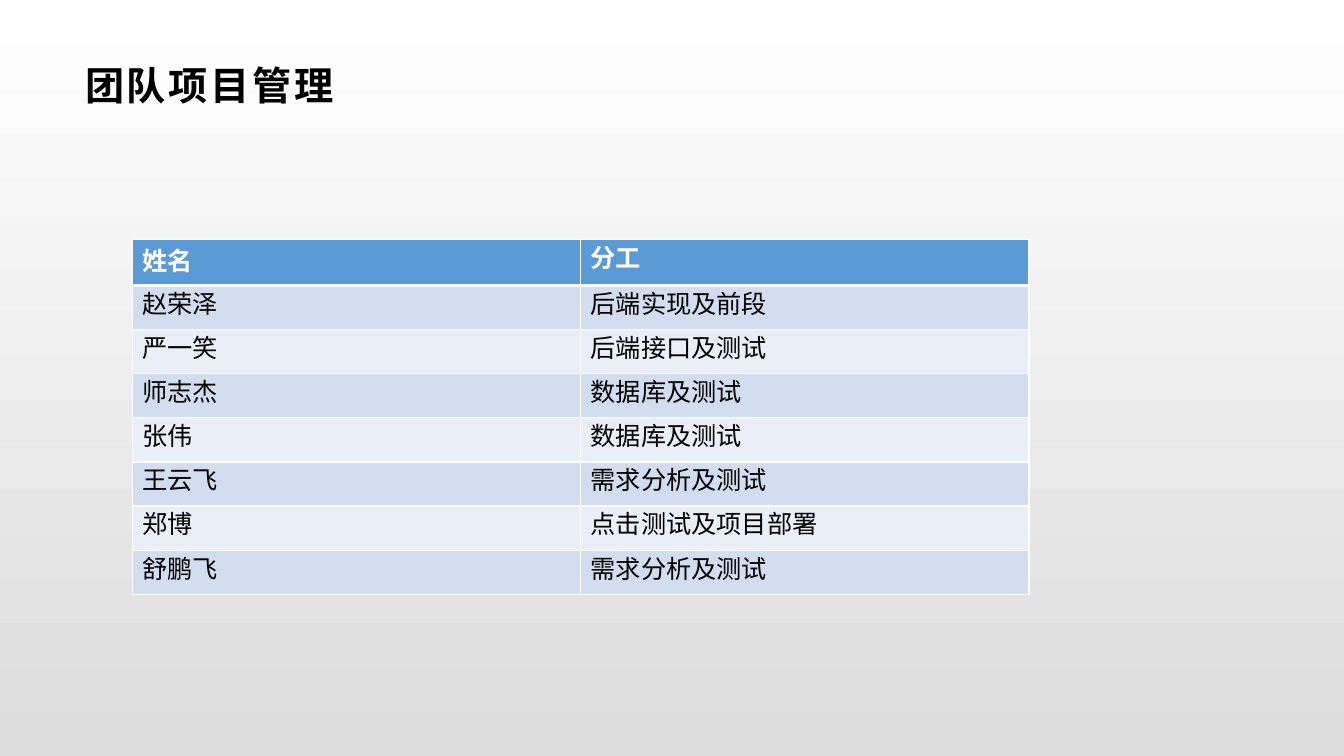
from typing import NamedTuple

from lxml import etree
from pptx import Presentation
from pptx.dml.color import RGBColor
from pptx.enum.text import MSO_ANCHOR
from pptx.oxml.ns import qn
from pptx.slide import Slide
from pptx.table import _Cell
from pptx.text.text import TextFrame
from pptx.util import Emu, Pt

EMU_PER_PX = 9525
FONT = "Arial"
MIDDLE = MSO_ANCHOR.MIDDLE
COLORS = {
    "top": "FFFFFF",
    "bottom": "DCDCDC",
    "text": "000000",
    "header": "5B9BD5",
    "header_text": "FFFFFF",
    "odd": "D2DEEF",
    "even": "EAEFF7",
    "border": "FFFFFF",
}
HEADER_HEIGHT, ROW_HEIGHT = 44, 42
THIN, THICK = 1, 3


class Member(NamedTuple):
    name: str
    duty: str


HEADINGS = Member("姓名", "分工")
MEMBERS = [
    Member("赵荣泽", "后端实现及前段"),
    Member("严一笑", "后端接口及测试"),
    Member("师志杰", "数据库及测试"),
    Member("张伟", "数据库及测试"),
    Member("王云飞", "需求分析及测试"),
    Member("郑博", "点击测试及项目部署"),
    Member("舒鹏飞", "需求分析及测试"),
]


def px(length: int) -> Emu:
    return Emu(length * EMU_PER_PX)


def color(name: str) -> RGBColor:
    return RGBColor.from_string(COLORS[name])


def write_text(frame: TextFrame, text: str, *, size: int, fill: str = "text",
               bold: bool = False, tracking: int = 0,
               line_spacing: float | None = None) -> None:
    """Write one run; tracking is the letter spacing in points."""
    paragraph = frame.paragraphs[0]
    if line_spacing:
        paragraph.line_spacing = line_spacing
    run = paragraph.add_run()
    run.text = text
    font = run.font
    font.name, font.size, font.bold = FONT, Pt(size), bold
    font.color.rgb = color(fill)
    properties = run._r.get_or_add_rPr()
    etree.SubElement(properties, qn("a:ea")).set("typeface", FONT)
    if tracking:
        properties.set("spc", str(tracking * 100))


def set_borders(cell: _Cell, *, top: int, bottom: int) -> None:
    """Draw the four borders; top and bottom widths are in points."""
    properties = cell._tc.get_or_add_tcPr()
    widths = {"a:lnL": THIN, "a:lnR": THIN, "a:lnT": top, "a:lnB": bottom}
    for position, (tag, width) in enumerate(widths.items()):
        line = etree.Element(qn(tag), w=str(Pt(width)))
        solid = etree.SubElement(line, qn("a:solidFill"))
        etree.SubElement(solid, qn("a:srgbClr"), val=COLORS["border"])
        properties.insert(position, line)


def paint_background(slide: Slide) -> None:
    fill = slide.background.fill
    fill.gradient()
    fill.gradient_angle = 270
    for stop, name in zip(fill.gradient_stops, ("top", "bottom")):
        stop.color.rgb = color(name)


def add_title(slide: Slide, text: str) -> None:
    box = slide.shapes.add_textbox(px(70), px(47), px(1140), px(68))
    frame = box.text_frame
    frame.word_wrap = True
    frame.vertical_anchor = MIDDLE
    frame.margin_left, frame.margin_right = px(11), px(8)
    frame.margin_top = frame.margin_bottom = px(4)
    write_text(frame, text, size=28, bold=True, tracking=2)


def add_duty_table(slide: Slide) -> None:
    rows = [HEADINGS, *MEMBERS]
    height = HEADER_HEIGHT + ROW_HEIGHT * len(MEMBERS)
    table = slide.shapes.add_table(
        len(rows), len(HEADINGS), px(126), px(228), px(854), px(height)).table
    for row_index, member in enumerate(rows):
        is_header = row_index == 0
        table.rows[row_index].height = px(HEADER_HEIGHT if is_header else ROW_HEIGHT)
        band = "header" if is_header else "odd" if row_index % 2 else "even"
        for column_index, text in enumerate(member):
            cell = table.cell(row_index, column_index)
            cell.fill.solid()
            cell.fill.fore_color.rgb = color(band)
            set_borders(cell, top=THICK if row_index == 1 else THIN,
                        bottom=THICK if is_header else THIN)
            write_text(cell.text_frame, text, size=18, bold=is_header,
                       fill="header_text" if is_header else "text",
                       line_spacing=1.1 if text == HEADINGS.name else None)


def main() -> None:
    presentation = Presentation()
    presentation.slide_width, presentation.slide_height = px(1280), px(720)
    slide = presentation.slides.add_slide(presentation.slide_layouts[6])
    paint_background(slide)
    add_title(slide, "团队项目管理")
    add_duty_table(slide)
    presentation.save("out.pptx")


if __name__ == "__main__":
    main()
